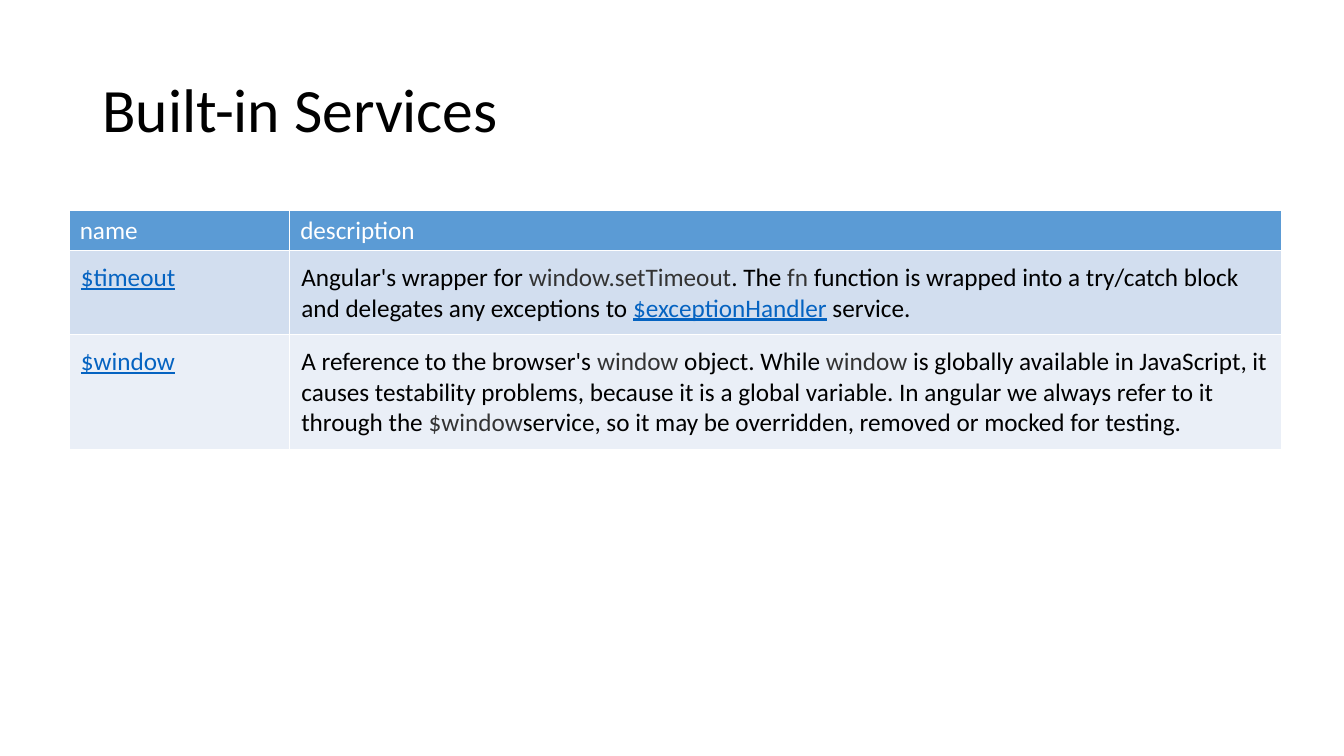
from lxml.etree import SubElement
from pptx import Presentation
from pptx.dml.color import RGBColor
from pptx.enum.text import MSO_ANCHOR as Anchor
from pptx.oxml.ns import qn
from pptx.util import Emu, Pt

SCALE = 9525
BLACK, WHITE, GREY, BLUE = "000000", "FFFFFF", "333333", "0563C1"
PLAIN = {"size": Pt(18), "name": "Calibri", "underline": False}
LINK = {**PLAIN, "underline": True}
STYLES = {
    "title": ({**PLAIN, "size": Pt(44)}, BLACK),
    "head": (PLAIN, WHITE),
    "text": (PLAIN, BLACK),
    "code": (PLAIN, GREY),
    "link": (LINK, BLUE),
}
COLUMN_WIDTHS = (210, 945)
ROWS = [
    (38, "5B9BD5", (10, 5), [[("name", "head")], [("description", "head")]]),
    (80, "D2DEEF", (11, 11), [
        [("$timeout", "link")],
        [("Angular's wrapper for ", "text"), ("window.setTimeout", "code"),
         (". The ", "text"), ("fn", "code"),
         (" function is wrapped into a try/catch block and delegates any exceptions to ", "text"),
         ("$exceptionHandler", "link"), (" service.", "text")],
    ]),
    (109, "EAEFF7", (11, 11), [
        [("$window", "link")],
        [("A reference to the browser's ", "text"), ("window", "code"),
         (" object. While ", "text"), ("window", "code"),
         (" is globally available in JavaScript, it causes testability problems, "
          "because it is a global variable. In angular we always refer to it through the ", "text"),
         ("$window", "code"),
         ("service, so it may be overridden, removed or mocked for testing.", "text")],
    ]),
]


def px(length):
    """Turn pixels into EMU."""
    return Emu(length * SCALE)


def color(value):
    """Turn a hex string into a colour."""
    return RGBColor.from_string(value)


def set_attributes(target, values):
    """Set every attribute named in a dict."""
    for name, value in values.items():
        setattr(target, name, value)


def add_spans(para, spans):
    """Fill a paragraph with styled spans."""
    for text, style in spans:
        span = para.add_run()
        span.text = text
        font, tint = STYLES[style]
        set_attributes(span.font, font)
        span.font.color.rgb = color(tint)


def add_title(page, left, top, width, height):
    """Place the slide title in its box."""
    box = page.shapes.add_textbox(px(left), px(top), px(width), px(height))
    set_attributes(box.text_frame, {"word_wrap": True, "vertical_anchor": Anchor.MIDDLE})
    para = box.text_frame.paragraphs[0]
    para.line_spacing = 0.9
    add_spans(para, [("Built-in Services", "title")])


def add_borders(cell):
    """Draw a thin white line on each side of a cell."""
    properties = cell._tc.get_or_add_tcPr()
    for side in ("lnL", "lnR", "lnT", "lnB"):
        line = SubElement(properties, qn(f"a:{side}"), w=str(Pt(1)))
        fill = SubElement(line, qn("a:solidFill"))
        SubElement(fill, qn("a:srgbClr"), val=WHITE)


def fill_cell(cell, spans, fill, margins):
    """Give a cell its text, margins, borders and fill."""
    across, down = map(px, margins)
    set_attributes(cell, {"margin_left": across, "margin_right": across,
                          "margin_top": down, "margin_bottom": down})
    add_spans(cell.text_frame.paragraphs[0], spans)
    add_borders(cell)
    cell.fill.solid()
    cell.fill.fore_color.rgb = color(fill)


def add_services(page, left, top):
    """Place the table of services from its top left corner."""
    width, height = sum(COLUMN_WIDTHS), sum(row[0] for row in ROWS)
    table = page.shapes.add_table(len(ROWS), len(COLUMN_WIDTHS), px(left), px(top),
                                  px(width), px(height)).table
    for column, column_width in zip(table.columns, COLUMN_WIDTHS):
        column.width = px(column_width)
    for row, (row_height, fill, margins, texts) in zip(table.rows, ROWS):
        row.height = px(row_height)
        for cell, spans in zip(row.cells, texts):
            fill_cell(cell, spans, fill, margins)


def main():
    """Build and save the slide."""
    deck = Presentation()
    set_attributes(deck, {"slide_width": px(1280), "slide_height": px(720)})
    page = deck.slides.add_slide(deck.slide_layouts[6])
    add_title(page, 88, 38, 1104, 139)
    add_services(page, 66, 200)
    deck.save("out.pptx")


if __name__ == "__main__":
    main()
